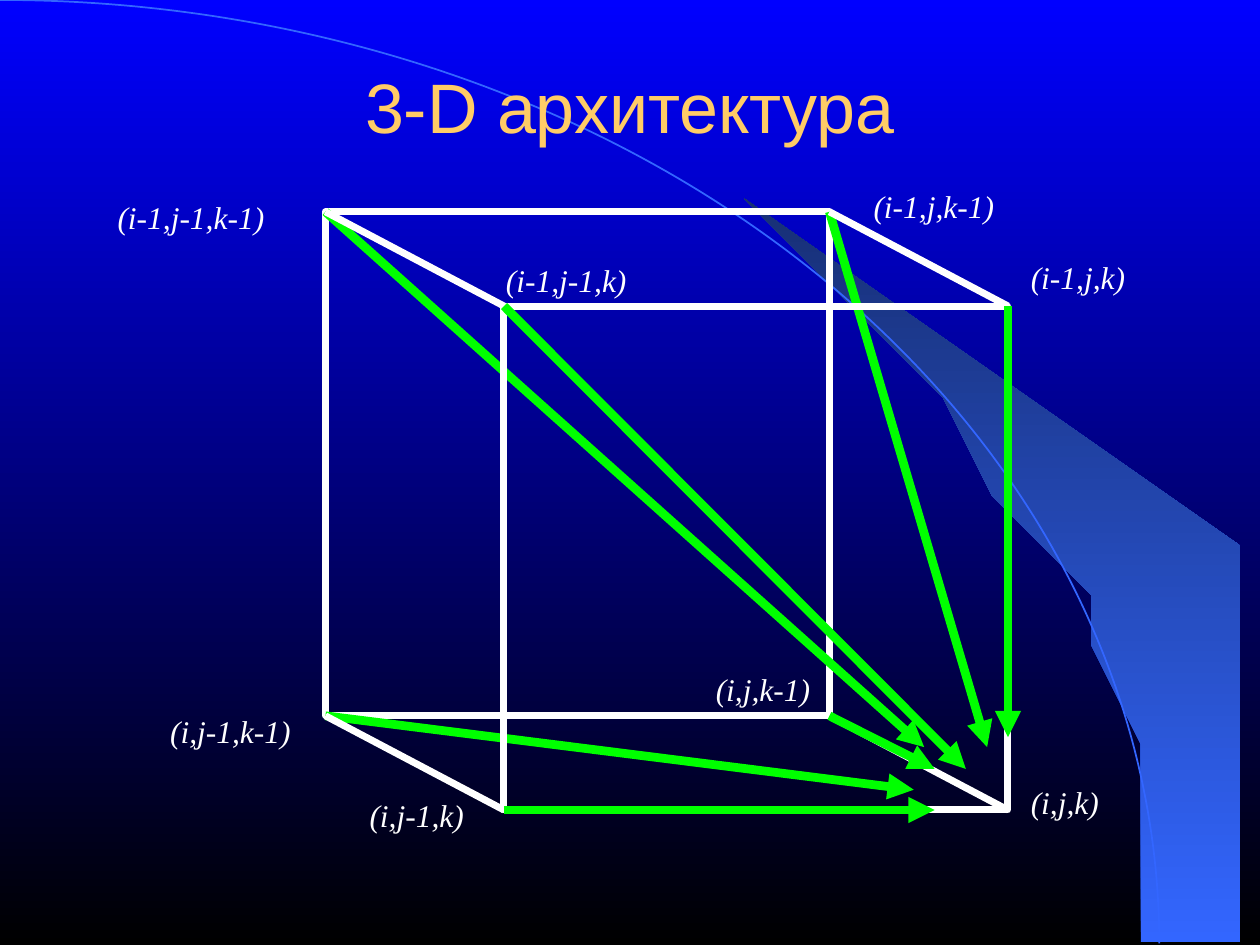
from lxml.etree import SubElement
from pptx import Presentation
from pptx.dml.color import RGBColor
from pptx.enum.shapes import MSO_CONNECTOR, MSO_SHAPE
from pptx.enum.text import MSO_ANCHOR, MSO_AUTO_SIZE, PP_ALIGN
from pptx.oxml.ns import qn
from pptx.util import Cm, Pt

COLORS = {
    "black": "000000",
    "blue": "0000FF",
    "arc": "3366FF",
    "beam": "172F75",
    "title": "FFCC66",
    "white": "FFFFFF",
    "green": "00FF00",
}
TITLE = "3-D архитектура"
LABELS = [
    ("(i-1,j-1,k-1)", 2.12, 3.86, 3.81),
    ("(i,j-1,k-1)", 3.18, 14.22, 3.18),
    ("(i,j-1,k)", 7.2, 15.93, 3.18),
    ("(i-1,j-1,k)", 9.95, 5.13, 3.81),
    ("(i-1,j,k)", 20.53, 5.08, 3.81),
    ("(i,j,k)", 20.53, 15.67, 3.81),
    ("(i-1,j,k-1)", 17.36, 3.64, 3.81),
    ("(i,j,k-1)", 14.18, 13.39, 3.18),
]
LABEL_HEIGHT = 1.02

SIDE = 10.16
BACK = (6.56, 4.27)
FRONT = (10.16, 6.17)
CORNERS = ["top left", "top right", "bottom left", "bottom right"]
BACK_ARROWS = [
    ("top right", (19.9, 15.06)),
    ("top left", (18.63, 15.06)),
    ("bottom left", (18.42, 15.92)),
]
FRONT_ARROWS = [
    ("bottom left", (18.84, 16.33)),
    ("top right", (20.32, 14.86)),
    ("top left", (19.47, 15.5)),
]
NEAR_ARROW_END = (18.84, 15.5)

ARC_RADII = (23.37, 19.02)
BEAM = [
    (23.37, 19), (25.37, 19.02), (25.37, 10.74), (14.96, 4.39),
    (15.85, 5.05), (16.59, 5.64), (17.4, 6.35), (18.19, 7.11),
    (19.35, 8.38), (20.4, 9.75), (21.13, 10.95), (21.79, 12.17),
    (22.3, 13.41), (22.68, 14.53), (22.94, 15.47), (23.19, 16.66),
    (23.29, 17.68),
]


def rgb(name):
    return RGBColor.from_string(COLORS[name])


def fill_gradient(fill, bottom, top):
    fill.gradient()
    fill.gradient_angle = 90
    for stop, name, position in zip(fill.gradient_stops, (bottom, top), (0, 1)):
        stop.color.rgb = rgb(name)
        stop.position = position


def set_line(shape, color, width):
    shape.line.color.rgb = rgb(color)
    shape.line.width = Pt(width)


def add_outline(slide, preset, left, top, width, height, color, line_width):
    shape = slide.shapes.add_shape(preset, Cm(left), Cm(top), Cm(width), Cm(height))
    shape.shadow.inherit = False
    shape.fill.background()
    set_line(shape, color, line_width)


def add_line(slide, start, end, color, width, arrow=False):
    connector = slide.shapes.add_connector(
        MSO_CONNECTOR.STRAIGHT, *(Cm(value) for value in (*start, *end)))
    set_line(connector, color, width)
    if arrow:
        SubElement(connector.line._get_or_add_ln(), qn("a:tailEnd"), type="triangle")
    SubElement(connector._element.spPr, qn("a:effectLst"))


def add_arrow(slide, start, end):
    add_line(slide, start, end, "green", 5, arrow=True)


def add_square(slide, corner):
    add_outline(slide, MSO_SHAPE.RECTANGLE, *corner, SIDE, SIDE, "white", 4)


def write_text(shape, text, size, font, color, italic=False,
               align=PP_ALIGN.LEFT, anchor=MSO_ANCHOR.TOP, space_before=0):
    frame = shape.text_frame
    frame.word_wrap = True
    frame.vertical_anchor = anchor
    paragraph = frame.paragraphs[0]
    paragraph.alignment = align
    paragraph.space_before = Pt(space_before)
    run = paragraph.add_run()
    run.text = text
    run.font.size = Pt(size)
    run.font.name = font
    run.font.italic = italic
    run.font.color.rgb = rgb(color)


def square_corners(origin):
    left, top = origin
    points = [(x, y) for y in (top, top + SIDE) for x in (left, left + SIDE)]
    return dict(zip(CORNERS, points))


def add_backdrop(slide):
    fill_gradient(slide.background.fill, "black", "blue")
    builder = slide.shapes.build_freeform(*BEAM[0], scale=Cm(1))
    builder.add_line_segments(BEAM[1:], close=True)
    beam = builder.convert_to_shape()
    beam.shadow.inherit = False
    fill_gradient(beam.fill, "arc", "beam")
    beam.line.fill.background()
    across, down = ARC_RADII
    add_outline(slide, MSO_SHAPE.ARC, -across, 0, 2 * across, 2 * down, "arc", 1)


def add_title(slide):
    title = slide.shapes.title
    title.left, title.top, title.width, title.height = (
        Cm(1.9), Cm(0.53), Cm(21.59), Cm(3.18))
    write_text(title, TITLE, 40, "Arial", "title",
               align=PP_ALIGN.CENTER, anchor=MSO_ANCHOR.MIDDLE)
    slide.shapes._spTree.append(title._element)


def add_cube(slide):
    back, front = square_corners(BACK), square_corners(FRONT)
    add_square(slide, BACK)
    for corner, end in BACK_ARROWS:
        add_arrow(slide, back[corner], end)
    add_square(slide, FRONT)
    for corner in CORNERS:
        add_line(slide, back[corner], front[corner], "white", 4)
    add_arrow(slide, back["bottom right"], NEAR_ARROW_END)
    for corner, end in FRONT_ARROWS:
        add_arrow(slide, front[corner], end)


def add_labels(slide):
    for text, left, top, width in LABELS:
        label = slide.shapes.add_textbox(Cm(left), Cm(top), Cm(width), Cm(LABEL_HEIGHT))
        label.text_frame.auto_size = MSO_AUTO_SIZE.SHAPE_TO_FIT_TEXT
        write_text(label, text, 18, "Times New Roman", "white",
                   italic=True, space_before=11.2)


def main():
    presentation = Presentation()
    presentation.slide_width, presentation.slide_height = Cm(25.4), Cm(19.05)
    slide = presentation.slides.add_slide(presentation.slide_layouts[5])
    add_backdrop(slide)
    add_title(slide)
    add_cube(slide)
    add_labels(slide)
    presentation.save("out.pptx")


if __name__ == "__main__":
    main()
